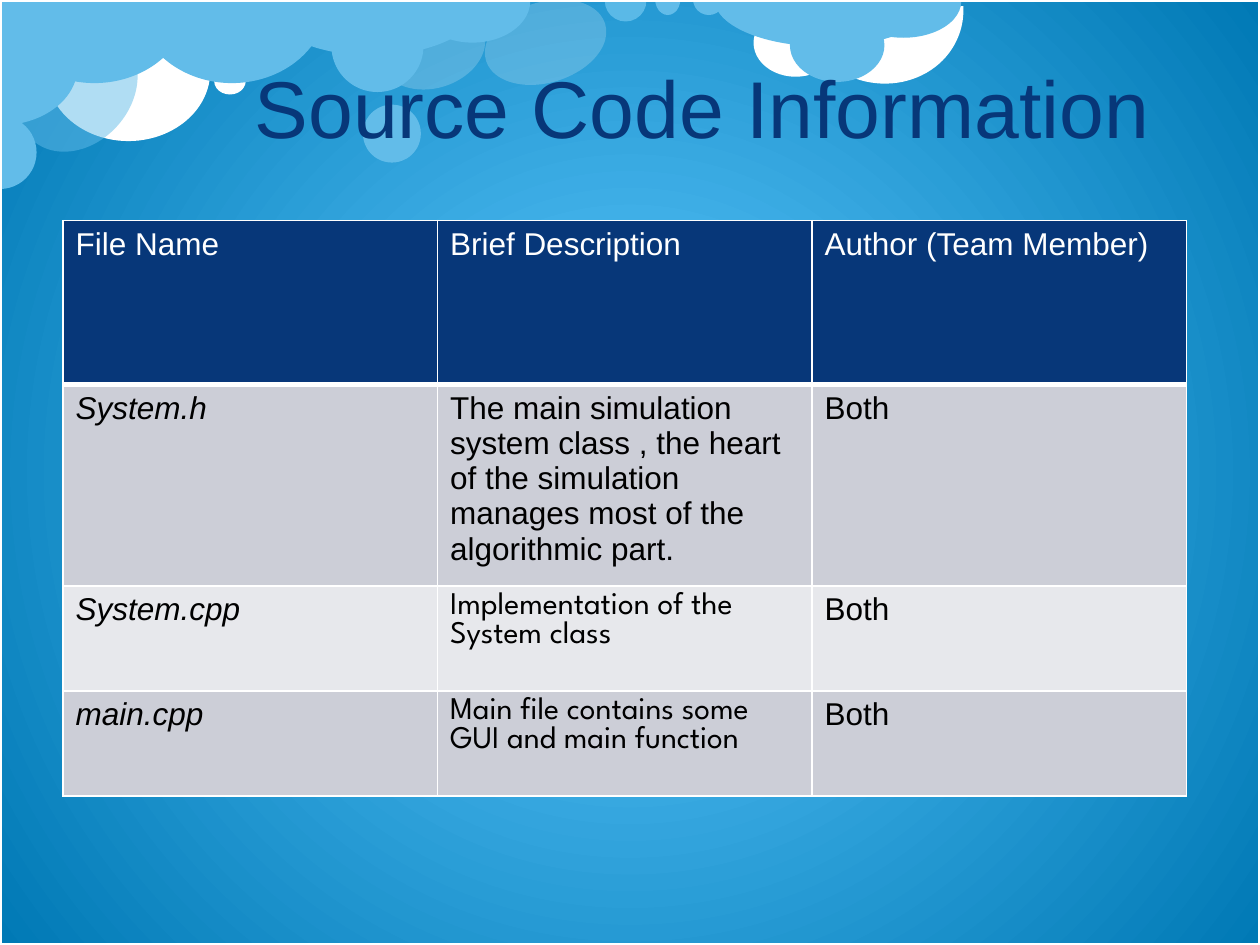
from lxml.etree import SubElement
from pptx import Presentation
from pptx.dml.color import RGBColor
from pptx.enum.shapes import MSO_SHAPE as Shape
from pptx.enum.text import MSO_ANCHOR as Anchor, PP_ALIGN as Align
from pptx.oxml import parse_xml
from pptx.oxml.ns import nsdecls, qn
from pptx.util import Pt

# Content
TITLE = "Source Code Information"
HEADERS = ["File Name", "Brief Description", "Author (Team Member)"]
FILES = [
    ("System.h", "The main simulation system class , the heart of the simulation "
                 "manages most of the algorithmic part.", "Both"),
    ("System.cpp", "Implementation of the System class", "Both"),
    ("main.cpp", "Main file contains some GUI and main function", "Both"),
]
NAVY, WHITE, BLACK, SKY = "073779", "FFFFFF", "000000", "62BCE9"
BANDS = ["CCCED7", "E7E8EC"]
DESCRIPTION_FONTS = ["Arial", "League Spartan", "League Spartan"]

# Clouds, back to front: kind, left, top, width, height, rotation, colour, opacity %
OVAL, HALF, ARC = "oval", "half", "arc"
CLOUDS = [
    (OVAL, 223.9, -3.6, 46.1, 61.9, 72.8, WHITE, 20),
    (OVAL, 26.6, 0.7, 93.6, 79.9, 0, WHITE, 100),
    (ARC, 460.1, -43.2, 87.1, 94.3, 106.5, WHITE, 100),
    (OVAL, 430.6, 5, 48.2, 38.9, 0, WHITE, 100),
    (HALF, -0.7, -47.5, 109.4, 95, 0, SKY, 100),
    (HALF, 149.8, -31.7, 126, 63.4, 0, SKY, 100),
    (OVAL, 207.4, 59.8, 33.1, 33.1, 0, SKY, 100),
    (OVAL, 13.7, 13, 61.2, 77, 41.8, SKY, 50),
    (HALF, -20.9, 66.2, 41.8, 41.8, 270, SKY, 100),
    (OVAL, 122.4, 38.9, 18, 15.1, 0, WHITE, 100),
    (HALF, 77.8, -47.5, 109.4, 95, 0, SKY, 100),
    (HALF, 408.2, -27.4, 126, 54, 0, SKY, 100),
    (OVAL, 451.4, 5, 54, 41.8, 0, SKY, 100),
    (HALF, 483.1, -20.2, 66.2, 41.8, 0, SKY, 100),
    (OVAL, 288.7, -11.5, 46.1, 71.3, 72.8, WHITE, 20),
    (HALF, 345.6, -11.5, 23.8, 23.8, 0, "8FD9FB", 50),
    (HALF, 374.4, -9.4, 14.4, 18, 0, SKY, 100),
    (HALF, 396, -9.4, 18, 18, 0, SKY, 100),
    (OVAL, 189.4, 0, 52.6, 52.6, 0, SKY, 100),
    (HALF, 236.9, -23.8, 66.2, 48.2, 0, SKY, 100),
    (HALF, -33.8, -6.5, 67, 89.3, 270, SKY, 100),
]
# Preset and adjustments (degrees x 0.6) of each kind of cloud
CLOUD_FORMS = {OVAL: (Shape.OVAL, []), HALF: (Shape.PIE, [0, 108]),
               ARC: (Shape.ARC, [151.8, 44.48])}

# Layout
SLIDE_W, SLIDE_H = 720, 540
TABLE_LEFT, TABLE_TOP, COLUMN_W = 36, 126, 214
ROW_HEIGHTS = [93.6, 115.2, 60, 60]


def colour(hex_code):
    return RGBColor.from_string(hex_code)


def add_shape(preset, left, top, width, height):
    shape = slide.shapes.add_shape(preset, Pt(left), Pt(top), Pt(width), Pt(height))
    shape.shadow.inherit = False
    return shape


def write(frame, text, face, size, hex_code, italic=False):
    paragraph = frame.paragraphs[0]
    paragraph.alignment = Align.LEFT
    run = paragraph.add_run()
    run.text = text
    looks = {"name": face, "size": Pt(size), "bold": False, "italic": italic}
    for key, value in looks.items():
        setattr(run.font, key, value)
    run.font.color.rgb = colour(hex_code)
    return paragraph


def add_borders(cell, widths):
    for side, width in widths.items():
        cell._tc.get_or_add_tcPr().append(parse_xml(
            f'<a:ln{side} {nsdecls("a")} w="{Pt(width)}"><a:solidFill>'
            f'<a:srgbClr val="{WHITE}"/></a:solidFill></a:ln{side}>'))


prs = Presentation()
prs.slide_width, prs.slide_height = Pt(SLIDE_W), Pt(SLIDE_H)
slide = prs.slides.add_slide(prs.slide_layouts[5])

# Background: round gradient from the centre
backdrop = slide.background.fill
backdrop.gradient()
for stop, hex_code, position in zip(backdrop.gradient_stops, ["5DC9FF", "0079B5"], [0, 1]):
    stop.color.rgb = colour(hex_code)
    stop.position = position
linear = slide.element.find(".//" + qn("a:lin"))
linear.getparent().replace(linear, parse_xml(
    f'<a:path {nsdecls("a")} path="circle">'
    '<a:fillToRect l="50000" t="50000" r="50000" b="50000"/></a:path>'))

# Clouds
for kind, left, top, width, height, rotation, hex_code, opacity in CLOUDS:
    preset, adjustments = CLOUD_FORMS[kind]
    cloud = add_shape(preset, left, top, width, height)
    for index, value in enumerate(adjustments):
        cloud.adjustments[index] = value
    cloud.rotation = rotation
    cloud.fill.solid()
    cloud.fill.fore_color.rgb = colour(hex_code)
    cloud.line.fill.background()
    if opacity < 100:
        tint = cloud._element.spPr.find(".//" + qn("a:srgbClr"))
        SubElement(tint, qn("a:alpha"), val=str(opacity * 1000))

# White frame around the slide
border = add_shape(Shape.RECTANGLE, 0, 0, SLIDE_W, SLIDE_H)
border.fill.background()
border.line.color.rgb = colour(WHITE)
border.line.width = Pt(2)

# Title, in front of the clouds
title = slide.shapes.title
slide.shapes._spTree.append(title._element)
for key, value in {"left": 36, "top": 9.4, "width": 648, "height": 102.2}.items():
    setattr(title, key, Pt(value))
heading = title.text_frame
for key, value in {"margin_left": Pt(109.5), "word_wrap": True,
                   "vertical_anchor": Anchor.MIDDLE}.items():
    setattr(heading, key, value)
write(heading, TITLE, "Arial", 46, NAVY).line_spacing = Pt(56)

# Table
table = slide.shapes.add_table(
    len(FILES) + 1, len(HEADERS), Pt(TABLE_LEFT), Pt(TABLE_TOP),
    Pt(COLUMN_W * len(HEADERS)), Pt(sum(ROW_HEIGHTS))).table
for column in table.columns:
    column.width = Pt(COLUMN_W)
for r, (texts, height) in enumerate(zip([HEADERS, *FILES], ROW_HEIGHTS)):
    table.rows[r].height = Pt(height)
    is_header = r == 0
    for c, text in enumerate(texts):
        cell = table.cell(r, c)
        add_borders(cell, {"L": 1, "R": 1, "T": 3 if r == 1 else 1, "B": 3 if is_header else 1})
        cell.fill.solid()
        cell.fill.fore_color.rgb = colour(NAVY if is_header else BANDS[(r - 1) % 2])
        face = DESCRIPTION_FONTS[r - 1] if c == 1 and not is_header else "Arial"
        write(cell.text_frame, text, face, 18, WHITE if is_header else BLACK,
              italic=c == 0 and not is_header)

prs.save("out.pptx")
